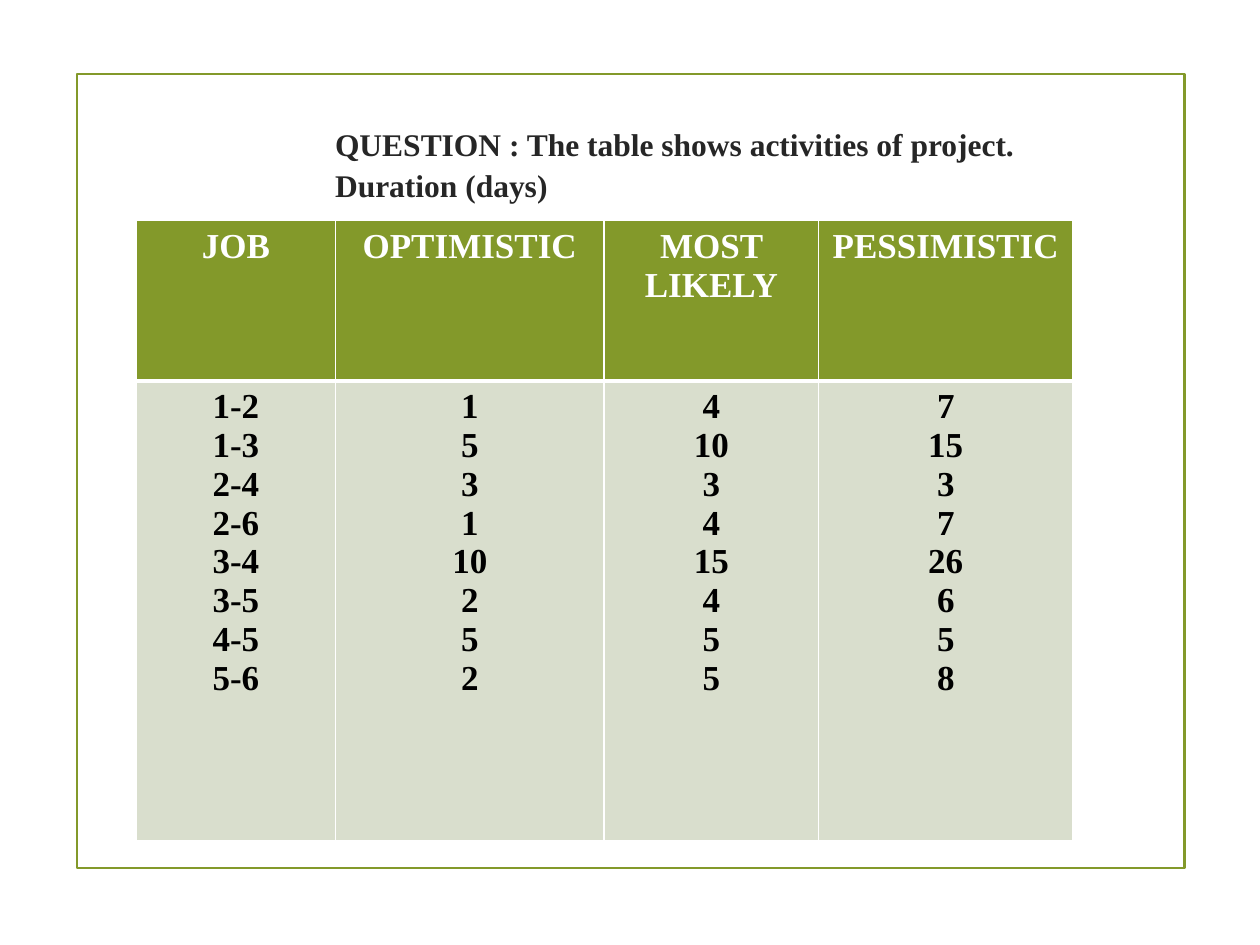
from lxml import etree
from pptx import Presentation
from pptx import util as u
from pptx.dml.color import RGBColor
from pptx.enum import shapes, text
from pptx.oxml.ns import qn

COLORS = {
    "green": "83992A",
    "pale": "D9DECD",
    "white": "FFFFFF",
    "black": "000000",
    "title": "262626",
}
FONT = "Times New Roman"

# Each column: heading, width in cm, values
COLUMNS = [
    ("JOB", 4.01, ["1-2", "1-3", "2-4", "2-6", "3-4", "3-5", "4-5", "5-6"]),
    ("OPTIMISTIC", 5.42, ["1", "5", "3", "1", "10", "2", "5", "2"]),
    ("MOST LIKELY", 4.32, ["4", "10", "3", "4", "15", "4", "5", "5"]),
    ("PESSIMISTIC", 5.13, ["7", "15", "3", "7", "26", "6", "5", "8"]),
]
ROW_HEIGHTS = [3.23, 9.27]


def rgb(name):
    return RGBColor.from_string(COLORS[name])


def box(*lengths):
    return [u.Cm(length) for length in lengths]


class SlideBuilder:
    def __init__(self, slide):
        self.slide = slide

    def style(self, paragraph, size, color, align):
        paragraph.alignment = align
        font = paragraph.font
        font.name, font.size, font.bold = FONT, u.Pt(size), True
        font.color.rgb = rgb(color)

    def frame(self, left, top, width, height):
        shape = self.slide.shapes.add_shape(
            shapes.MSO_SHAPE.RECTANGLE, *box(left, top, width, height))
        shape.shadow.inherit = False
        shape.fill.background()
        shape.line.color.rgb = rgb("green")
        shape.line.width = u.Pt(1.25)

    def title(self, words, left, top, width, height):
        shape = self.slide.shapes.title
        shape.left, shape.top, shape.width, shape.height = box(
            left, top, width, height)
        frame = shape.text_frame
        frame.text = words
        frame.word_wrap = True
        frame.auto_size = text.MSO_AUTO_SIZE.NONE
        frame.vertical_anchor = text.MSO_ANCHOR.MIDDLE
        paragraph = frame.paragraphs[0]
        paragraph.line_spacing = 1.09
        self.style(paragraph, 18, "title", text.PP_ALIGN.LEFT)

    def borders(self, cell, top, bottom):
        properties = cell._tc.get_or_add_tcPr()
        for side, points in (("L", 1), ("R", 1), ("T", top), ("B", bottom)):
            line = etree.SubElement(
                properties, qn(f"a:ln{side}"), w=str(u.Pt(points)))
            fill = etree.SubElement(line, qn("a:solidFill"))
            etree.SubElement(fill, qn("a:srgbClr"), val=COLORS["white"])

    def cell(self, cell, lines, fill, color, top, bottom):
        self.borders(cell, top, bottom)
        cell.fill.solid()
        cell.fill.fore_color.rgb = rgb(fill)
        cell.text_frame.text = "\n".join(lines)
        for paragraph in cell.text_frame.paragraphs:
            self.style(paragraph, 20, color, text.PP_ALIGN.CENTER)

    def table(self, columns, heights, left, top):
        width = sum(column[1] for column in columns)
        table = self.slide.shapes.add_table(
            len(heights), len(columns),
            *box(left, top, width, sum(heights))).table
        for row, height in zip(table.rows, heights):
            row.height = u.Cm(height)
        for index, (heading, width, values) in enumerate(columns):
            table.columns[index].width = u.Cm(width)
            self.cell(table.cell(0, index), [heading], "green", "white", 1, 3)
            self.cell(table.cell(1, index), values, "pale", "black", 3, 1)


def main():
    presentation = Presentation()
    presentation.slide_width, presentation.slide_height = box(25.4, 19.05)
    slide = presentation.slides.add_slide(presentation.slide_layouts[5])
    builder = SlideBuilder(slide)

    # Border around the page
    builder.frame(1.55, 1.5, 22.33, 16)

    # Question
    builder.title(
        "QUESTION : The table shows activities of project.\vDuration (days)",
        6.5, 2.54, 18.9, 1.47)

    # Activity durations
    builder.table(COLUMNS, ROW_HEIGHTS, 2.75, 4.45)

    presentation.save("out.pptx")


if __name__ == "__main__":
    main()
